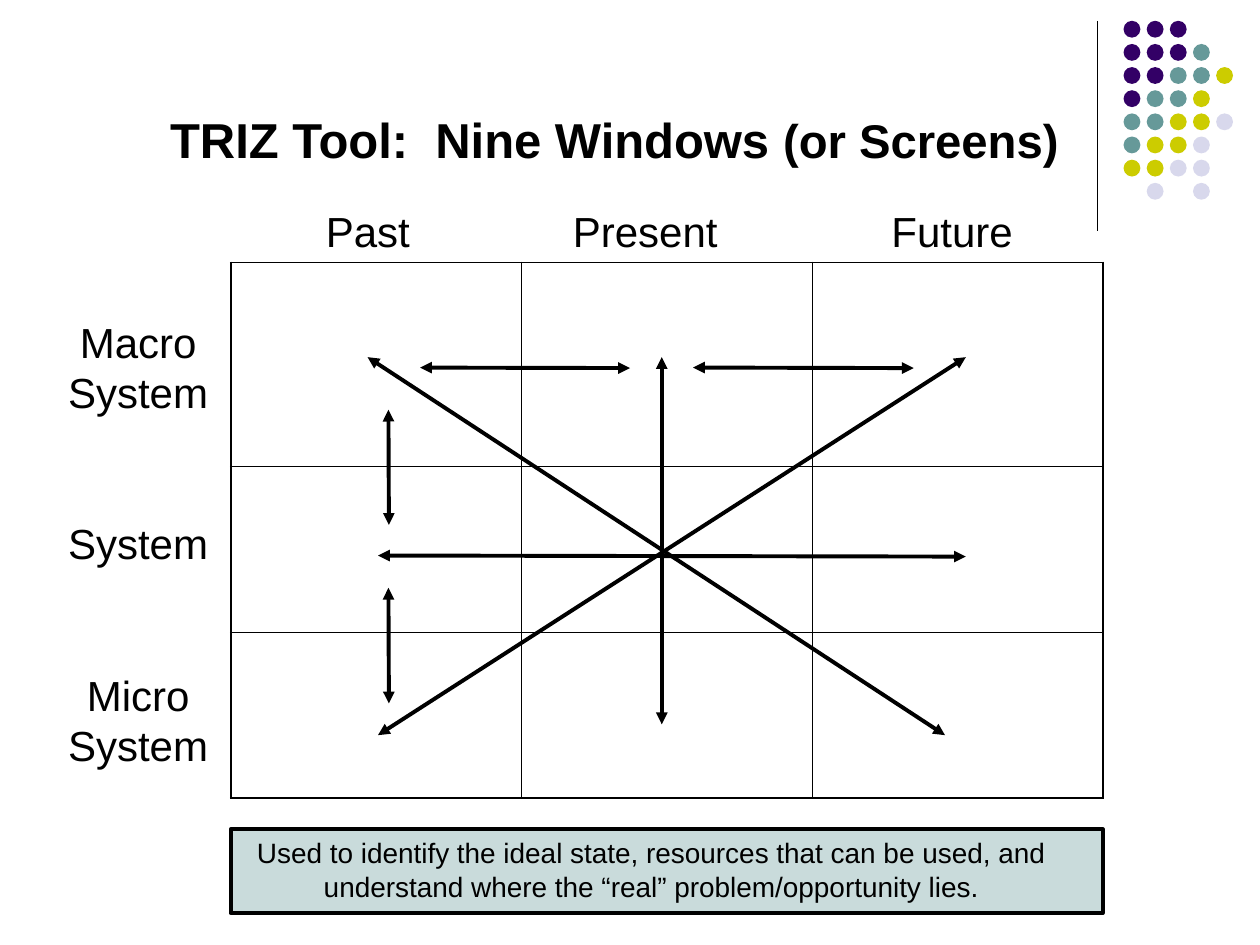
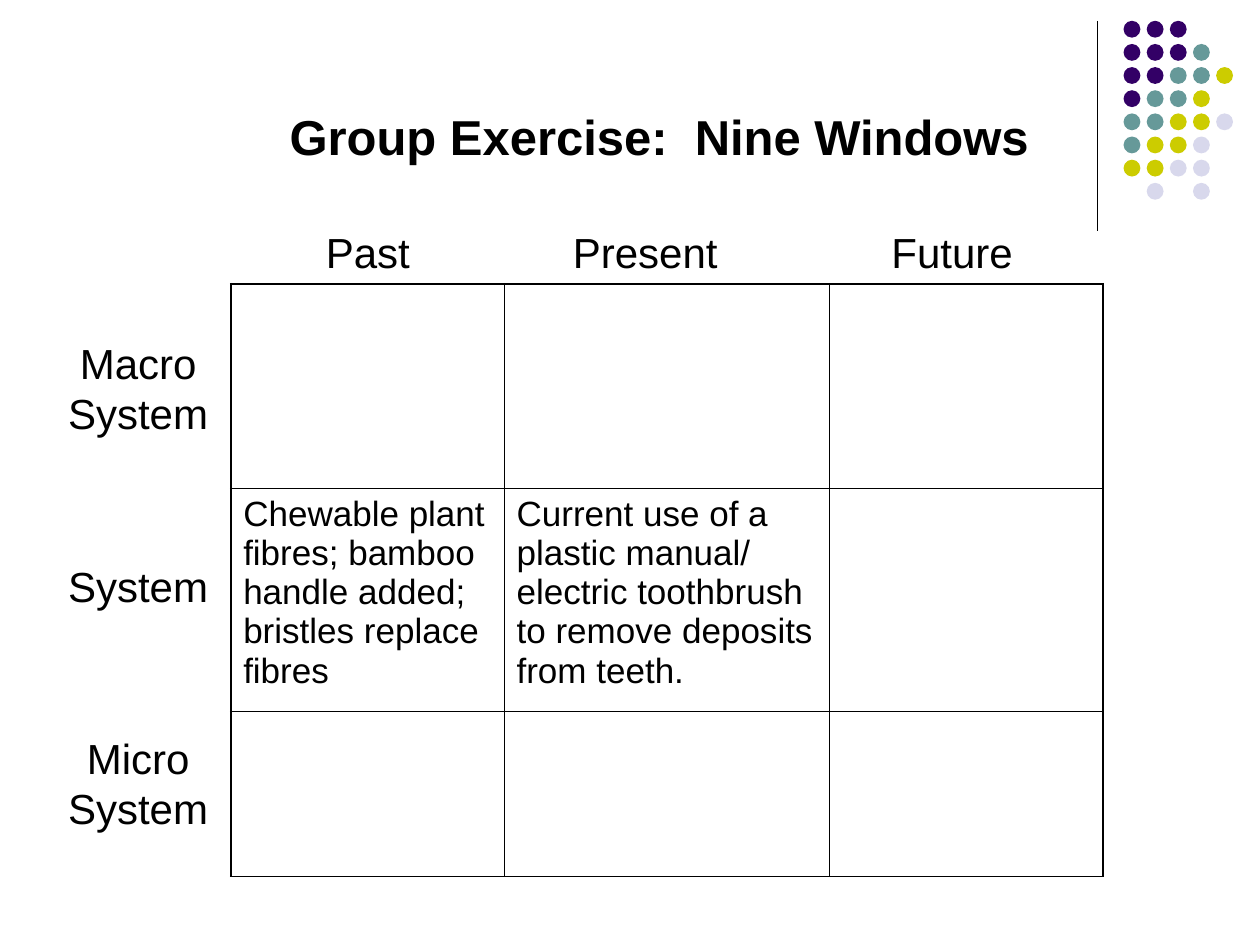
from dataclasses import dataclass
from typing import Any, NamedTuple

from lxml.etree import SubElement
from pptx import Presentation
from pptx.dml.color import RGBColor
from pptx.enum.shapes import MSO_CONNECTOR, MSO_SHAPE
from pptx.enum.text import MSO_ANCHOR, PP_ALIGN
from pptx.oxml.ns import qn
from pptx.slide import Slide
from pptx.table import _Cell as Cell
from pptx.text.text import _Paragraph as Paragraph
from pptx.util import Cm, Pt


@dataclass(frozen=True)
class Theme:
    font: str = "Arial"
    ink: str = "000000"
    panel: str = "C9DBDB"
    dots: tuple[str, ...] = ("330066", "669999", "CCCC00", "D8D8EC")
    title_size: int = 28
    title_note_size: int = 27
    label_size: int = 24
    cell_size: int = 20
    note_size: int = 16
    text_leading: float = 1.2
    cell_leading: float = 1.12
    rule: float = 0.75
    arrow: float = 2.25
    grid_outer: float = 1.08
    grid_inner: float = 0.45


class Box(NamedTuple):
    """Left, top, width and height in centimetres."""
    left: float
    top: float
    width: float
    height: float

    def lengths(self) -> list[Cm]:
        return [Cm(value) for value in self]


class Line(NamedTuple):
    """Start and end points in centimetres."""
    x1: float
    y1: float
    x2: float
    y2: float


class Windows(NamedTuple):
    """The nine-window grid with its headings."""
    top: float
    columns: tuple[float, ...]
    rows: tuple[float, ...]
    labels_height: float
    label_gap: float
    texts: dict[tuple[int, int], str]


THEME = Theme()
GRID_LEFT = 4.65
HEADING_TABS = (4.98, 11.4)
HEADING_HEIGHT = 1.27
# Each digit picks a dot colour; a space leaves the place empty.
DOT_ROWS = ("000", "0001", "00112", "0112", "11223", "1223", "2233", " 3 3")
DOT_LEFT, DOT_TOP, DOT_SIZE = 22.65, 0.42, 0.34
DOT_PITCH = 1.4 / 3
DIVIDER = Line(22.12, 0.42, 22.12, 4.65)

TOOL_WINDOWS = Windows(5.29, (5.86, 5.86, 5.86), (4.12, 3.34, 3.34), 9.4, 57.6, {})
EXERCISE_WINDOWS = Windows(
    5.72, (5.51, 6.56, 5.51), (4.12, 4.49, 3.34), 10.26, 69.6,
    {
        (1, 0): "Chewable plant fibres; bamboo handle added; bristles replace fibres",
        (1, 1): "Current use of a plastic manual/ electric toothbrush "
                "to remove deposits from teeth.",
    },
)
ARROWS = (
    Line(13.34, 7.2, 13.34, 14.6),
    Line(7.62, 11.2, 19.47, 11.22),
    Line(7.62, 14.82, 19.47, 7.2),
    Line(19.05, 14.82, 7.41, 7.2),
    Line(8.47, 7.41, 12.7, 7.42),
    Line(13.97, 7.41, 18.42, 7.42),
    Line(7.83, 8.26, 7.84, 10.58),
    Line(7.83, 11.85, 7.84, 14.18),
)


def rgb(value: str) -> RGBColor:
    return RGBColor.from_string(value)


def apply_format(target: Any, values: dict[str, Any]) -> None:
    for name, value in values.items():
        setattr(target, name, value)


def add_run(paragraph: Paragraph, text: str, size: int, bold: bool = False) -> None:
    run = paragraph.add_run()
    run.text = text
    apply_format(run.font, {"name": THEME.font, "size": Pt(size), "bold": bold})
    run.font.color.rgb = rgb(THEME.ink)


def add_text_frame(slide: Slide, box: Box, **values: Any) -> Any:
    frame = slide.shapes.add_textbox(*box.lengths()).text_frame
    apply_format(frame, {"word_wrap": True, **values})
    return frame


def add_line(slide: Slide, line: Line, width: float, arrows: bool = False) -> None:
    points = (Cm(value) for value in line)
    connector = slide.shapes.add_connector(MSO_CONNECTOR.STRAIGHT, *points)
    connector.line.color.rgb = rgb(THEME.ink)
    connector.line.width = Pt(width)
    properties = connector.line._get_or_add_ln()
    if arrows:
        for end in ("a:headEnd", "a:tailEnd"):
            SubElement(properties, qn(end), type="triangle")
    SubElement(properties.getparent(), qn("a:effectLst"))


def add_corner_dots(slide: Slide) -> None:
    group = slide.shapes.add_group_shape()
    for row, pattern in enumerate(DOT_ROWS):
        for column, mark in enumerate(pattern):
            if mark == " ":
                continue
            box = Box(DOT_LEFT + column * DOT_PITCH, DOT_TOP + row * DOT_PITCH,
                      DOT_SIZE, DOT_SIZE)
            dot = group.shapes.add_shape(MSO_SHAPE.OVAL, *box.lengths())
            dot.shadow.inherit = False
            dot.fill.solid()
            dot.fill.fore_color.rgb = rgb(THEME.dots[int(mark)])
            dot.line.fill.background()


def add_title(slide: Slide, box: Box, text: str, note: str = "",
              margin: float = 0.25) -> None:
    frame = add_text_frame(slide, box, vertical_anchor=MSO_ANCHOR.BOTTOM,
                           margin_left=Cm(margin))
    add_run(frame.paragraphs[0], text, THEME.title_size, bold=True)
    if note:
        add_run(frame.paragraphs[0], note, THEME.title_note_size, bold=True)


def set_borders(cell: Cell, widths: dict[str, float]) -> None:
    properties = cell._tc.get_or_add_tcPr()
    for position, (side, width) in enumerate(widths.items()):
        border = SubElement(properties, qn(f"a:{side}"), w=str(Pt(width)))
        fill = SubElement(border, qn("a:solidFill"))
        SubElement(fill, qn("a:srgbClr"), val=THEME.ink)
        properties.insert(position, border)


def add_grid(slide: Slide, windows: Windows) -> None:
    rows, columns = windows.rows, windows.columns
    box = Box(GRID_LEFT, windows.top, sum(columns), sum(rows))
    table = slide.shapes.add_table(len(rows), len(columns), *box.lengths()).table
    apply_format(table, {"first_row": False, "horz_banding": False})
    for column, width in zip(table.columns, columns):
        column.width = Cm(width)
    for row, height in zip(table.rows, rows):
        row.height = Cm(height)
    for r in range(len(rows)):
        for c in range(len(columns)):
            cell = table.cell(r, c)
            cell.fill.background()
            outer = {"lnL": c == 0, "lnR": c == len(columns) - 1,
                     "lnT": r == 0, "lnB": r == len(rows) - 1}
            set_borders(cell, {side: THEME.grid_outer if edge else THEME.grid_inner
                               for side, edge in outer.items()})
            if (r, c) in windows.texts:
                paragraph = cell.text_frame.paragraphs[0]
                paragraph.line_spacing = Pt(THEME.cell_size * THEME.cell_leading)
                add_run(paragraph, windows.texts[r, c], THEME.cell_size)


def add_column_headings(slide: Slide, windows: Windows) -> None:
    box = Box(6.32, windows.top - HEADING_HEIGHT, 14.38, HEADING_HEIGHT)
    paragraph = add_text_frame(slide, box).paragraphs[0]
    paragraph.line_spacing = Pt(THEME.label_size * THEME.text_leading)
    tabs = SubElement(paragraph._p.get_or_add_pPr(), qn("a:tabLst"))
    for position in HEADING_TABS:
        SubElement(tabs, qn("a:tab"), pos=str(Cm(position)), algn="l")
    add_run(paragraph, "Past\tPresent\tFuture", THEME.label_size)


def add_row_labels(slide: Slide, windows: Windows) -> None:
    box = Box(1.12, windows.top + 0.96, 3.33, windows.labels_height)
    frame = add_text_frame(slide, box, word_wrap=False)
    labels = (("Macro", 0), ("System", 0), ("System", windows.label_gap),
              ("Micro", windows.label_gap), ("System", 0))
    for index, (label, gap) in enumerate(labels):
        paragraph = frame.add_paragraph() if index else frame.paragraphs[0]
        apply_format(paragraph, {
            "alignment": PP_ALIGN.CENTER,
            "line_spacing": Pt(THEME.label_size * THEME.text_leading),
            "space_before": Pt(gap),
        })
        add_run(paragraph, label, THEME.label_size)


def add_purpose_panel(slide: Slide) -> None:
    box = Box(GRID_LEFT, 16.72, 17.58, 1.69)
    panel = slide.shapes.add_shape(MSO_SHAPE.RECTANGLE, *box.lengths())
    panel.shadow.inherit = False
    panel.fill.solid()
    panel.fill.fore_color.rgb = rgb(THEME.panel)
    panel.line.color.rgb = rgb(THEME.ink)
    panel.line.width = Pt(THEME.arrow)
    paragraph = add_text_frame(slide, Box(4.24, 16.72, 17.78, 1.63)).paragraphs[0]
    apply_format(paragraph, {
        "alignment": PP_ALIGN.CENTER,
        "line_spacing": Pt(THEME.note_size * THEME.text_leading),
    })
    add_run(paragraph, "Used to identify the ideal state, resources that can be used, "
            "and understand where the “real” problem/opportunity lies.", THEME.note_size)


def add_windows_slide(presentation: Any, windows: Windows) -> Slide:
    """Add a slide with the shared corner, the grid and its headings."""
    slide = presentation.slides.add_slide(presentation.slide_layouts[6])
    add_line(slide, DIVIDER, THEME.rule)
    add_corner_dots(slide)
    add_grid(slide, windows)
    add_column_headings(slide, windows)
    add_row_labels(slide, windows)
    return slide


def main() -> None:
    presentation = Presentation()
    apply_format(presentation, {"slide_width": Cm(25.4), "slide_height": Cm(19.05)})

    tool = add_windows_slide(presentation, TOOL_WINDOWS)
    add_title(tool, Box(3.18, 1.12, 18.52, 2.39),
              "TRIZ Tool:  Nine Windows ", "(or Screens)")
    add_purpose_panel(tool)
    for arrow in ARROWS:
        add_line(tool, arrow, THEME.arrow, arrows=True)

    exercise = add_windows_slide(presentation, EXERCISE_WINDOWS)
    add_title(exercise, Box(3.39, 1.06, 18.52, 2.39),
              "Group Exercise:  Nine Windows", margin=2.45)

    presentation.save("out.pptx")


if __name__ == "__main__":
    main()
